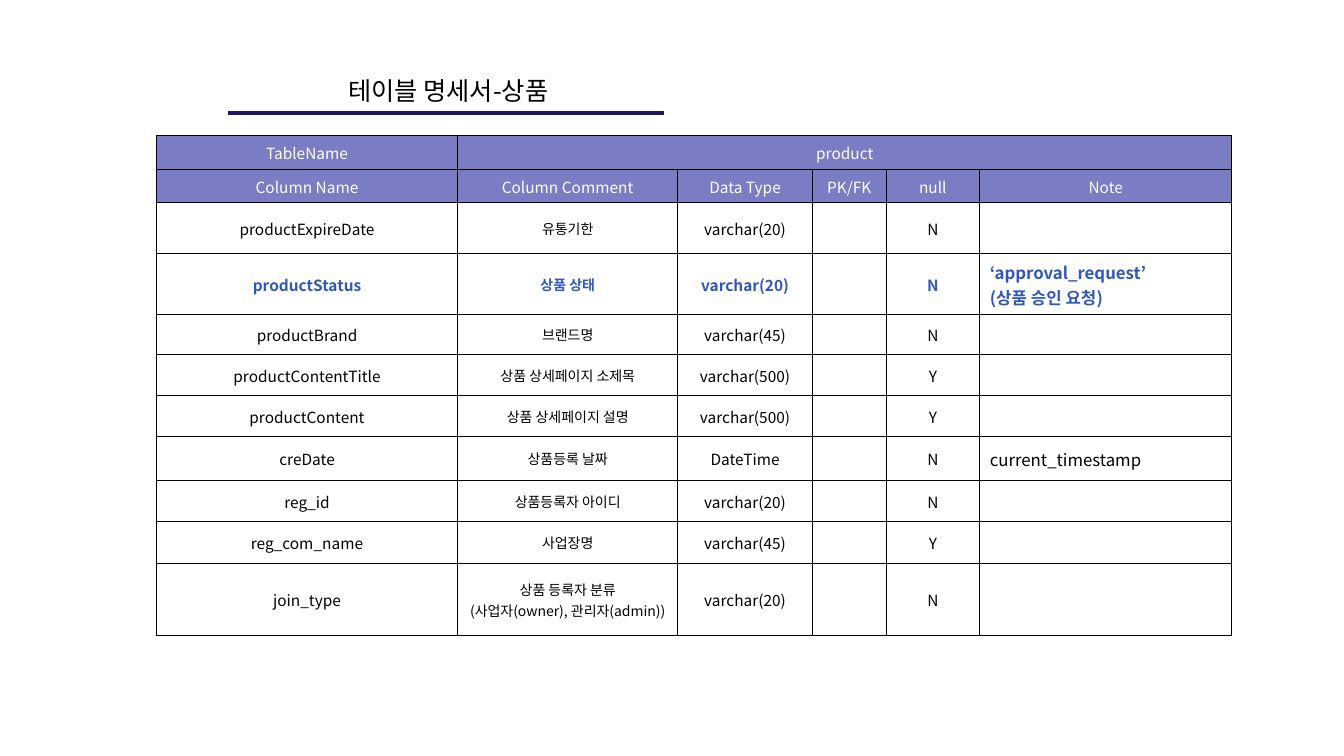
from lxml.etree import SubElement
from pptx import Presentation
from pptx.dml.color import RGBColor
from pptx.enum.shapes import MSO_CONNECTOR as Connector
from pptx.enum.text import MSO_ANCHOR as Anchor, MSO_AUTO_SIZE as AutoSize, PP_ALIGN as Align
from pptx.oxml.ns import qn
from pptx.util import Pt

FONT = "Noto Sans CJK KR"
BLACK, WHITE, BLUE = "000000", "FFFFFF", "3057B9"
NAVY, HEADER = "1B1760", "7A7CC4"
COLUMN_WIDTHS = [215.3, 157, 96.5, 52.4, 67, 180]
TEXT_SIZES = [11, 10, 11, 11, 11, 12]
ALIGNMENTS = [Align.CENTER] * 5 + [Align.LEFT]
HIGHLIGHTED = "productStatus"

HEADER_ROWS = [
    (24, ["TableName", "product", "", "", "", ""]),
    (23.6, ["Column Name", "Column Comment", "Data Type", "PK/FK", "null", "Note"]),
]
FIELD_ROWS = [
    (36.5, ["productExpireDate", "유통기한", "varchar(20)", "", "N", ""]),
    (43.5, [HIGHLIGHTED, "상품 상태", "varchar(20)", "", "N",
            "‘approval_request’\n(상품 승인 요청)"]),
    (28.8, ["productBrand", "브랜드명", "varchar(45)", "", "N", ""]),
    (29.2, ["productContentTitle", "상품 상세페이지 소제목", "varchar(500)", "", "Y", ""]),
    (29.2, ["productContent", "상품 상세페이지 설명", "varchar(500)", "", "Y", ""]),
    (31.5, ["creDate", "상품등록 날짜", "DateTime", "", "N", "current_timestamp"]),
    (29.2, ["reg_id", "상품등록자 아이디", "varchar(20)", "", "N", ""]),
    (29.8, ["reg_com_name", "사업장명", "varchar(45)", "", "Y", ""]),
    (51.5, ["join_type", "상품 등록자 분류\n(사업자(owner), 관리자(admin))",
            "varchar(20)", "", "N", ""]),
]


def rgb(color):
    return RGBColor.from_string(color)


def add_span(para, text, size, color, bold=False):
    span = para.add_run()
    span.text = text
    span.font.size = Pt(size)
    span.font.bold = bold
    span.font.color.rgb = rgb(color)
    span.font.name = FONT
    SubElement(span.font._element, qn("a:ea"), typeface=FONT)


def add_title(page, text):
    title = page.shapes.title
    title.left, title.top, title.width, title.height = Pt(162.5), Pt(50.4), Pt(315.4), Pt(28)
    frame = title.text_frame
    frame.auto_size = AutoSize.NONE
    frame.word_wrap = True
    frame.vertical_anchor = Anchor.MIDDLE
    para = frame.paragraphs[0]
    para.alignment = Align.CENTER
    add_span(para, text, 18, BLACK)


def add_rule(page, left, right, top):
    rule = page.shapes.add_connector(Connector.STRAIGHT, Pt(left), Pt(top), Pt(right), Pt(top))
    rule.line.color.rgb = rgb(NAVY)
    rule.line.width = Pt(3)
    SubElement(rule._element.spPr, qn("a:effectLst"))


def add_borders(cell):
    properties = cell._tc.get_or_add_tcPr()
    for side in ("lnL", "lnR", "lnT", "lnB"):
        border = SubElement(properties, qn(f"a:{side}"), w=str(Pt(0.6)))
        fill = SubElement(border, qn("a:solidFill"))
        SubElement(fill, qn("a:srgbClr"), val=BLACK)


def fill_cell(cell, text, size, color, alignment, bold, background):
    add_borders(cell)
    if background:
        cell.fill.solid()
        cell.fill.fore_color.rgb = rgb(background)
    else:
        cell.fill.background()
    cell.vertical_anchor = Anchor.MIDDLE
    frame = cell.text_frame
    for index, line in enumerate(text.split("\n")):
        para = frame.add_paragraph() if index else frame.paragraphs[0]
        para.alignment = alignment
        para.line_spacing = 1.03
        if line:
            add_span(para, line, size, color, bold)
        else:
            SubElement(para._p, qn("a:endParaRPr"), sz=str(size * 100))


def add_specification(page):
    rows = HEADER_ROWS + FIELD_ROWS
    width, height = sum(COLUMN_WIDTHS), sum(row[0] for row in rows)
    frame = page.shapes.add_table(len(rows), len(COLUMN_WIDTHS),
                                  Pt(111.7), Pt(97), Pt(width), Pt(height))
    table = frame.table
    table.first_row = False
    table.horz_banding = False
    for column, column_width in zip(table.columns, COLUMN_WIDTHS):
        column.width = Pt(column_width)
    for i, (row_height, texts) in enumerate(rows):
        table.rows[i].height = Pt(row_height)
        is_header = i < len(HEADER_ROWS)
        bold = texts[0] == HIGHLIGHTED
        for j, text in enumerate(texts):
            if is_header:
                fill_cell(table.cell(i, j), text, 11, WHITE, Align.CENTER, False, HEADER)
            else:
                fill_cell(table.cell(i, j), text, TEXT_SIZES[j], BLUE if bold else BLACK,
                          ALIGNMENTS[j], bold, None)
    table.cell(0, 1).merge(table.cell(0, 5))


def main():
    deck = Presentation()
    deck.slide_width, deck.slide_height = Pt(960), Pt(540)
    page = deck.slides.add_slide(deck.slide_layouts[5])
    add_specification(page)
    add_rule(page, 162.7, 474.5, 80.6)
    add_title(page, "테이블 명세서-상품")
    deck.save("out.pptx")


if __name__ == "__main__":
    main()
